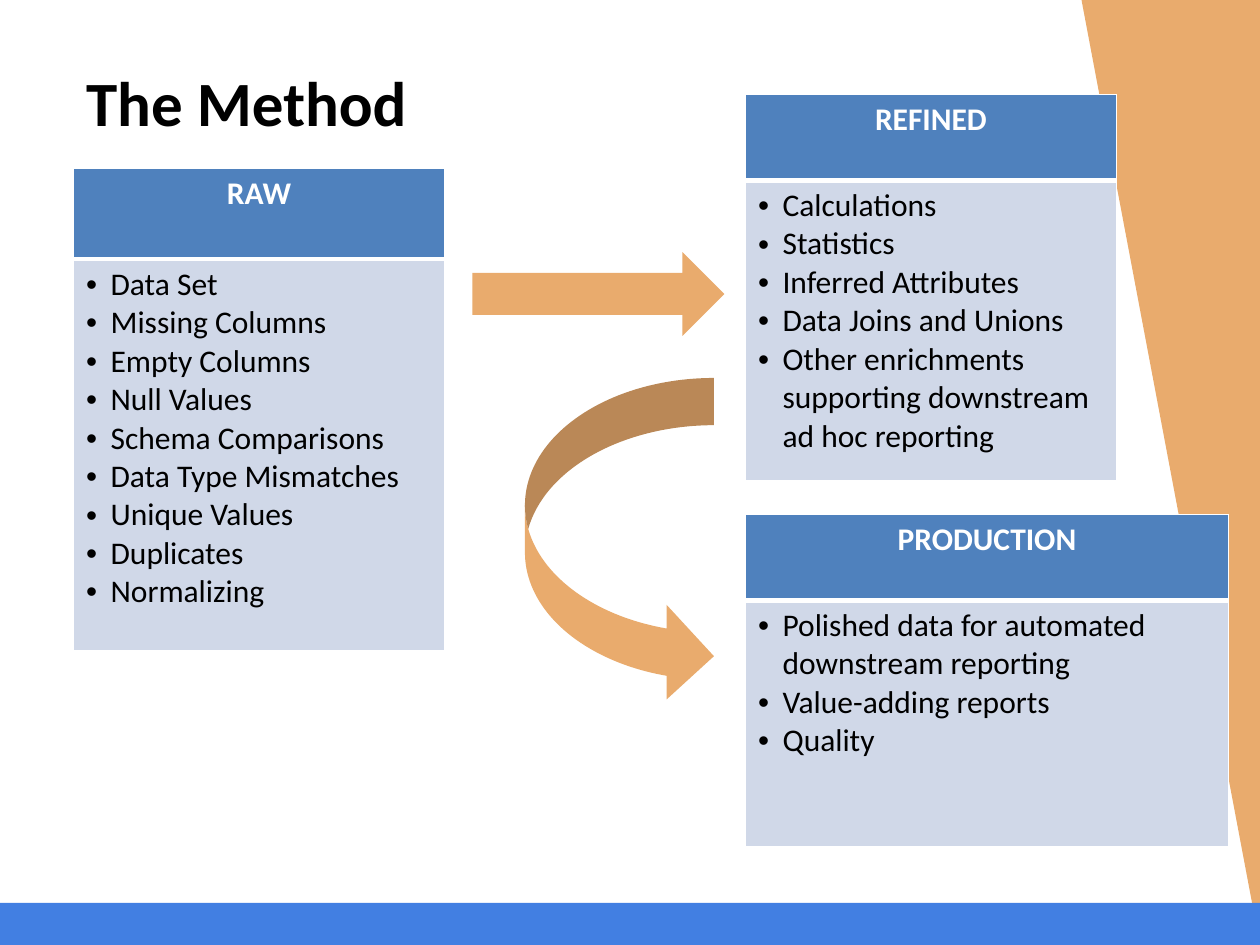
import pptx
import pptx.util
import pptx.dml.color
import pptx.enum.shapes
import pptx.enum.text
import pptx.oxml
import pptx.oxml.ns
import lxml.etree

Pt = pptx.util.Pt
SHAPES = pptx.enum.shapes.MSO_SHAPE
ALIGN = pptx.enum.text.PP_ALIGN
ANCHOR = pptx.enum.text.MSO_ANCHOR
ORANGE, BLUE, HEADER, BODY = "E9AB6D", "427FE2", "4F81BD", "D0D8E8"


def color(value):
    return pptx.dml.color.RGBColor.from_string(value)


def write(para, text, size=18, ink="000000", bold=False, align=ALIGN.LEFT, bullet=False):
    para.alignment = align
    span = para.add_run()
    span.text = text
    span.font.name = "Calibri"
    span.font.size = Pt(size)
    span.font.bold = bold
    span.font.color.rgb = color(ink)
    if bullet:
        props = para._p.get_or_add_pPr()
        props.set("marL", str(Pt(14)))
        props.set("indent", str(-Pt(14)))
        for tag, key, value in (("a:buFont", "typeface", "Arial"), ("a:buChar", "char", "•")):
            mark = lxml.etree.SubElement(props, pptx.oxml.ns.qn(tag))
            mark.set(key, value)


deck = pptx.Presentation()
deck.slide_width, deck.slide_height = Pt(720), Pt(540)
page = deck.slides.add_slide(deck.slide_layouts[5])

# Title
title = page.shapes.title
title.left, title.top, title.width, title.height = Pt(42), Pt(0), Pt(600), Pt(116)
title.text_frame.auto_size = pptx.enum.text.MSO_AUTO_SIZE.NONE
title.text_frame.vertical_anchor = ANCHOR.MIDDLE
write(title.text_frame.paragraphs[0], "The Method", size=36, bold=True)

# Background wedge, footer band and flow arrows
for kind, left, top, width, height, turn, fill in (
    (SHAPES.RIGHT_TRIANGLE, 618, 0, 102, 540, 180, ORANGE),
    (SHAPES.RECTANGLE, 0, 516, 720, 24, 0, BLUE),
    (SHAPES.RIGHT_ARROW, 270, 144, 144, 48, 0, ORANGE),
    (SHAPES.CURVED_RIGHT_ARROW, 300, 216, 108, 186, 0, ORANGE),
):
    shape = page.shapes.add_shape(kind, Pt(left), Pt(top), Pt(width), Pt(height))
    shape.rotation = turn
    shape.shadow.inherit = False
    shape.fill.solid()
    shape.fill.fore_color.rgb = color(fill)
    shape.line.fill.background()

# Stage tables: a heading row over a bulleted list
stages = (
    ("PRODUCTION", 426, 294, 276, 49, 141, (
        "Polished data for automated downstream reporting",
        "Value-adding reports", "Quality")),
    ("RAW", 42, 96, 212, 52, 224, (
        "Data Set", "Missing Columns", "Empty Columns", "Null Values",
        "Schema Comparisons", "Data Type Mismatches", "Unique Values",
        "Duplicates", "Normalizing")),
    ("REFINED", 426, 54, 212, 49, 172, (
        "Calculations", "Statistics", "Inferred Attributes", "Data Joins and Unions",
        "Other enrichments supporting downstream ad hoc reporting")),
)
for heading, left, top, width, head_height, body_height, items in stages:
    frame = page.shapes.add_table(
        2, 1, Pt(left), Pt(top), Pt(width), Pt(head_height + body_height))
    table = frame.table
    table.horz_banding = False
    table.rows[0].height, table.rows[1].height = Pt(head_height), Pt(body_height)
    head, body = table.cell(0, 0), table.cell(1, 0)

    write(head.text_frame.paragraphs[0], heading, ink="FFFFFF", bold=True, align=ALIGN.CENTER)
    for index, item in enumerate(items):
        text = body.text_frame
        para = text.paragraphs[0] if index == 0 else text.add_paragraph()
        write(para, item, bullet=True)

    # White cell borders, thicker between heading and list
    for cell, fill, thick in ((head, HEADER, "lnB"), (body, BODY, "lnT")):
        cell.vertical_anchor = ANCHOR.TOP
        cell.fill.solid()
        cell.fill.fore_color.rgb = color(fill)
        props = cell._tc.get_or_add_tcPr()
        for index, side in enumerate(("lnL", "lnR", "lnT", "lnB")):
            weight = Pt(3 if side == thick else 1)
            props.insert(index, pptx.oxml.parse_xml(
                f'<a:{side} {pptx.oxml.ns.nsdecls("a")} w="{weight}"><a:solidFill>'
                f'<a:srgbClr val="FFFFFF"/></a:solidFill></a:{side}>'))

deck.save("out.pptx")
